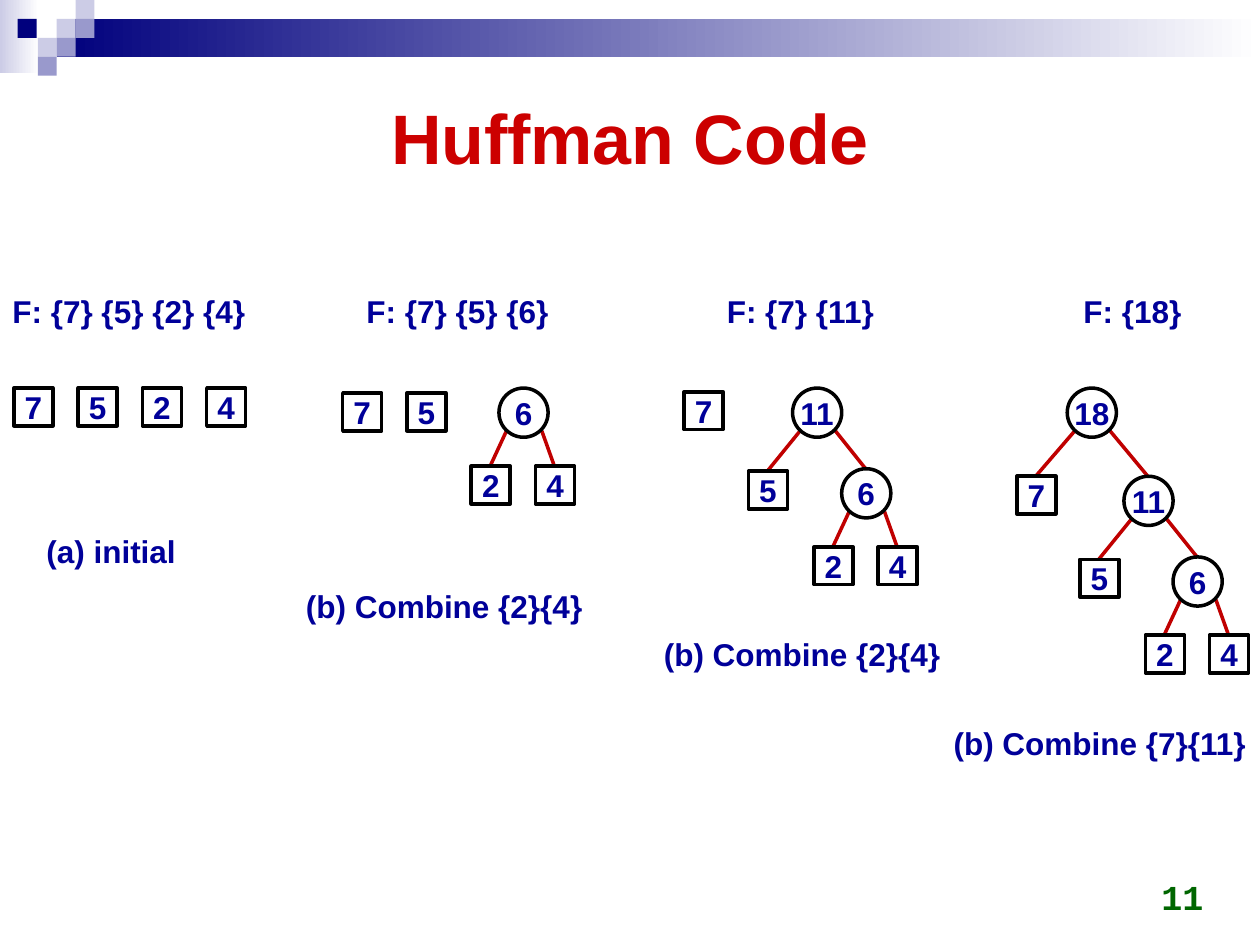
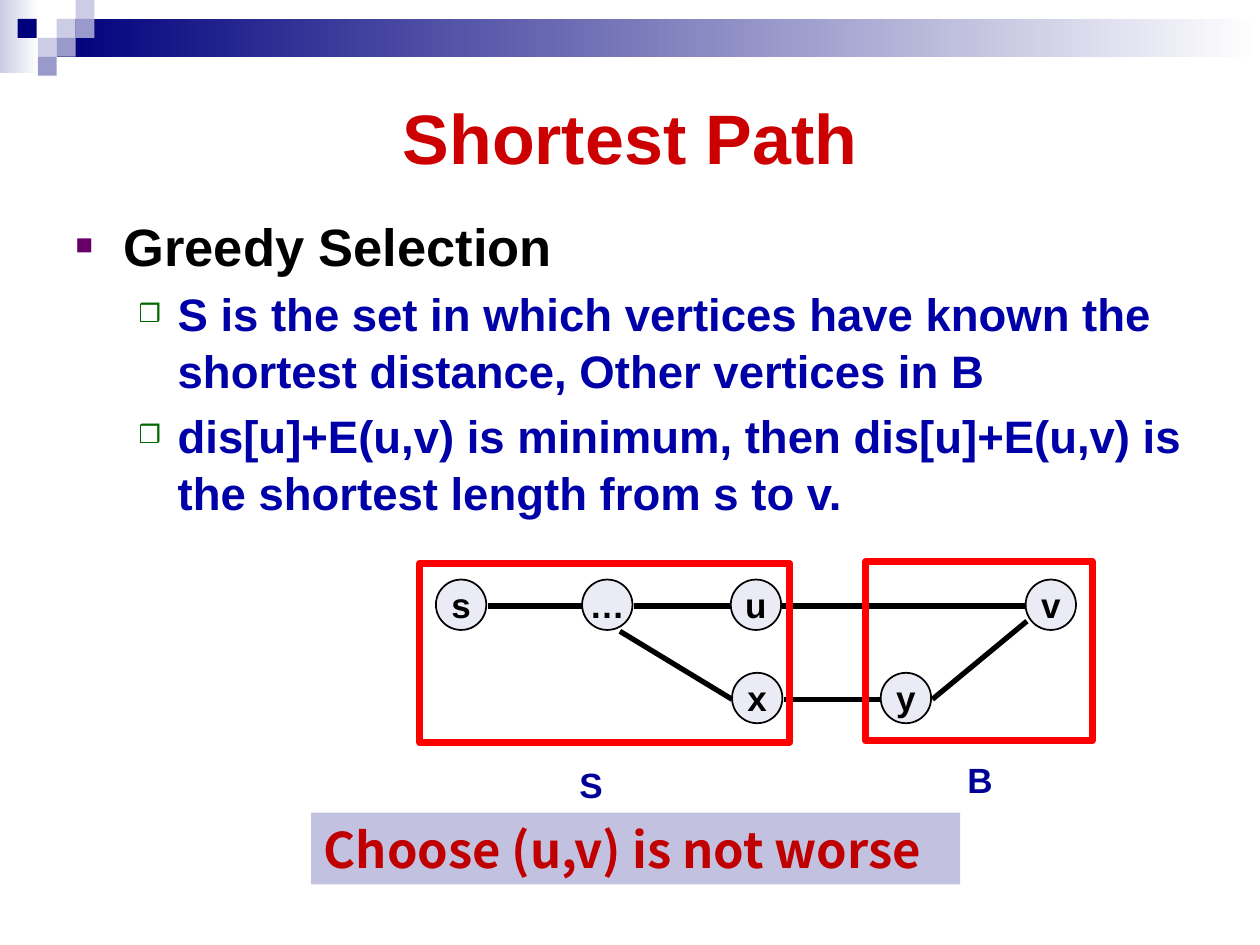
from dataclasses import dataclass

from lxml.etree import SubElement
from pptx import Presentation
from pptx.dml.color import RGBColor
from pptx.enum.shapes import MSO_CONNECTOR as Connector, MSO_SHAPE as Preset
from pptx.enum.text import MSO_ANCHOR as Anchor, MSO_AUTO_SIZE as AutoSize, PP_ALIGN as Align
from pptx.oxml.ns import qn
from pptx.util import Emu, Pt

TITLE_AND_BODY, TITLE_ONLY = 1, 5


@dataclass(frozen=True)
class Theme:
    """Colours, fonts and type sizes of the deck."""

    navy: str = "00007D"
    violet: str = "9999CC"
    lilac: str = "CCCCE6"
    pale: str = "EBEBF5"
    banner: str = "C2C2E0"
    white: str = "FFFFFF"
    black: str = "000000"
    title: str = "CC0000"
    label: str = "000099"
    detail: str = "0000A8"
    crimson: str = "C00000"
    frame: str = "FF0000"
    green: str = "006600"
    plum: str = "660066"
    sans: str = "Arial"
    mono: str = "Courier New"
    cjk: str = "Noto Sans CJK SC"
    title_size: int = 40
    topic_size: int = 30
    banner_size: int = 28
    detail_size: int = 26
    vertex_size: int = 20
    label_size: int = 18


@dataclass(frozen=True)
class Merge:
    """A Huffman tree node with its two children and the steps to them."""

    total: str
    left: object
    right: object
    left_step: tuple
    right_step: tuple


THEME = Theme()
SIX = Merge("6", "2", "4", (-22, 62), (29, 62))
ELEVEN = Merge("11", "5", SIX, (-35, 66), (39, 64))
EIGHTEEN = Merge("18", "7", ELEVEN, (-40, 70), (45, 70))


class Deck:
    """Draws themed elements on the current slide, in px of 1/100 inch."""

    SCALE = 9144
    LEAF = (31, 30)
    LEAF_PITCH = 51
    CIRCLE = 39
    VERTEX = 40

    def __init__(self, theme):
        """Open an empty 10 by 7.5 inch deck."""
        self.theme = theme
        self.deck = Presentation()
        self.deck.slide_width, self.deck.slide_height = self.px(1000, 750)
        self.slide = None

    def px(self, *lengths):
        """Turn px into EMU."""
        return [Emu(length * self.SCALE) for length in lengths]

    def add_text(self, paragraph, text, size, color, font=None):
        """Add one bold run."""
        run = paragraph.add_run()
        run.text = text
        run.font.size, run.font.bold = Pt(size), True
        run.font.name = font or self.theme.sans
        run.font.color.rgb = RGBColor.from_string(color)

    def place(self, holder, *box):
        """Move a placeholder."""
        holder.left, holder.top, holder.width, holder.height = self.px(*box)

    def start(self, title, layout):
        """Begin a slide with the band and a title."""
        self.slide = self.deck.slides.add_slide(self.deck.slide_layouts[layout])
        self.band()
        heading = self.slide.shapes.title
        self.place(heading, 50, 50, 900, 116)
        heading.text_frame.vertical_anchor = Anchor.MIDDLE
        line = heading.text_frame.paragraphs[0]
        line.alignment = Align.CENTER
        self.add_text(line, title, self.theme.title_size, self.theme.title)

    def band(self):
        """Draw the gradient band and its checker squares."""
        t = self.theme
        for start, box in ((t.lilac, (0, 0, 31, 58)), (t.navy, (45, 15, 955, 30))):
            fade = self.shape(Preset.RECTANGLE, box, fill=t.white).fill
            fade.gradient()
            fade.gradient_angle = 0
            for stop, color in zip(fade.gradient_stops, (start, t.white)):
                stop.color.rgb = RGBColor.from_string(color)
        checker = {
            t.lilac: ((45, 15), (60, 0), (30, 30)),
            t.violet: ((60, 15), (45, 30), (30, 45)),
            t.navy: ((14, 15),),
        }
        for color, corners in checker.items():
            for corner in corners:
                self.shape(Preset.RECTANGLE, (*corner, 15, 15), fill=color)

    def shape(self, preset, box, fill=None, line=None, weight=1):
        """Add a preset shape without shadow."""
        shape = self.slide.shapes.add_shape(preset, *self.px(*box))
        shape.shadow.inherit = False
        if fill:
            shape.fill.solid()
            shape.fill.fore_color.rgb = RGBColor.from_string(fill)
        else:
            shape.fill.background()
        if line:
            shape.line.color.rgb = RGBColor.from_string(line)
            shape.line.width = Pt(weight)
        else:
            shape.line.fill.background()
        return shape

    def caption(self, shape, text, size, color, font=None, align=Align.CENTER, wrap=False):
        """Set text in the middle of a shape's height."""
        frame = shape.text_frame
        frame.word_wrap, frame.vertical_anchor = wrap, Anchor.MIDDLE
        frame.margin_top = frame.margin_bottom = 0
        if align == Align.CENTER:
            frame.margin_left = frame.margin_right = 0
        frame.paragraphs[0].alignment = align
        self.add_text(frame.paragraphs[0], text, size, color, font)

    def label(self, text, x, y, width, height=40, size=THEME.label_size):
        """Add a one-line label."""
        frame = self.slide.shapes.add_textbox(*self.px(x, y, width, height)).text_frame
        frame.word_wrap, frame.auto_size = False, AutoSize.SHAPE_TO_FIT_TEXT
        self.add_text(frame.paragraphs[0], text, size, self.theme.label)

    def page_number(self, number):
        """Add the number at the bottom right."""
        frame = self.slide.shapes.add_textbox(*self.px(732, 683, 233, 50)).text_frame
        frame.word_wrap, frame.vertical_anchor = True, Anchor.BOTTOM
        frame.paragraphs[0].alignment = Align.RIGHT
        self.add_text(frame.paragraphs[0], number, self.theme.vertex_size, self.theme.green, self.theme.mono)

    def edge(self, start, end, color, weight):
        """Draw a straight line without shadow."""
        edge = self.slide.shapes.add_connector(Connector.STRAIGHT, *self.px(*start, *end))
        edge.line.color.rgb = RGBColor.from_string(color)
        edge.line.width = Pt(weight)
        SubElement(edge.element.spPr, qn("a:effectLst"))

    def leaves(self, weights, x, y):
        """Draw a row of square leaves."""
        for column, weight in enumerate(weights):
            box = (x + column * self.LEAF_PITCH, y, *self.LEAF)
            leaf = self.shape(Preset.RECTANGLE, box, line=self.theme.black, weight=2)
            self.caption(leaf, weight, self.theme.label_size, self.theme.label)

    def tree(self, node, x, y):
        """Draw a Huffman tree from its root down."""
        if isinstance(node, str):
            self.leaves([node], x, y)
            return
        branches = ((node.left, node.left_step, 6), (node.right, node.right_step, 34))
        for child, (dx, dy), exit_x in branches:
            middle = (self.LEAF[0] if isinstance(child, str) else self.CIRCLE) // 2
            self.edge((x + dx + middle, y + dy), (x + exit_x, y + 34), self.theme.crimson, 2)
            self.tree(child, x + dx, y + dy)
        root = self.shape(Preset.OVAL, (x, y, self.CIRCLE, self.CIRCLE), line=self.theme.black, weight=2)
        self.caption(root, node.total, self.theme.label_size, self.theme.label)

    def vertex(self, name, x, y):
        """Draw a graph vertex."""
        box = (x, y, self.VERTEX, self.VERTEX)
        vertex = self.shape(Preset.OVAL, box, self.theme.pale, self.theme.black)
        self.caption(vertex, name, self.theme.vertex_size, self.theme.black)

    def bullets(self, items):
        """Fill the body placeholder with (level, text) items."""
        t = self.theme
        styles = (
            (38, 38, "■", t.plum, t.topic_size, t.black),
            (81, 31, "❒", t.green, t.detail_size, t.detail),
        )
        body = self.slide.placeholders[1]
        self.place(body, 50, 162, 900, 520)
        frame = body.text_frame
        frame.auto_size = AutoSize.NONE
        for index, (level, text) in enumerate(items):
            margin, hang, mark, mark_color, size, color = styles[level]
            line = frame.add_paragraph() if index else frame.paragraphs[0]
            line.level, line.line_spacing = level, 1.05
            line.space_before = Pt(round(size * 0.15, 1))
            props = line._p.get_or_add_pPr()
            props.set("marL", str(margin * self.SCALE))
            props.set("indent", str(-hang * self.SCALE))
            tint = SubElement(props, qn("a:buClr"))
            SubElement(tint, qn("a:srgbClr"), val=mark_color)
            SubElement(props, qn("a:buSzPct"), val="55000")
            SubElement(props, qn("a:buChar"), char=mark)
            self.add_text(line, text, size, color)


def huffman_slide(deck):
    """Show the forest after each merge."""
    deck.start("Huffman Code", TITLE_ONLY)
    deck.page_number("11")
    forests = (
        ("F: {7} {5} {2} {4}", 0, 207),
        ("F: {7} {5} {6}", 281, 166),
        ("F: {7} {11}", 567, 138),
        ("F: {18}", 850, 99),
    )
    for text, x, width in forests:
        deck.label(text, x, 227, width)
    steps = (
        ("(a) initial", 27, 417, 124),
        ("(b) Combine {2}{4}", 233, 461, 242),
        ("(b) Combine {2}{4}", 517, 499, 242),
        ("(b) Combine {7}{11}", 747, 570, 254),
    )
    for step in steps:
        deck.label(*step)
    for weights, x, y in (("7524", 11, 308), ("75", 272, 312), ("7", 543, 311)):
        deck.leaves(weights, x, y)
    for root, x in ((SIX, 396), (ELEVEN, 629), (EIGHTEEN, 847)):
        deck.tree(root, x, 308)


def shortest_path_slide(deck):
    """Explain the greedy selection on a small graph."""
    theme = deck.theme
    deck.start("Shortest Path", TITLE_AND_BODY)
    deck.bullets((
        (0, "Greedy Selection"),
        (1, "S is the set in which vertices have known the shortest distance, Other vertices in B"),
        (1, "dis[u]+E(u,v) is minimum, then dis[u]+E(u,v) is the shortest length from s to v."),
    ))
    banner = deck.shape(Preset.RECTANGLE, (247, 645, 515, 57), fill=theme.banner)
    deck.caption(banner, "Choose (u,v) is not worse", theme.banner_size, theme.crimson,
                 theme.cjk, Align.LEFT, wrap=True)

    vertices = {"s": (346, 460), "…": (462, 460), "u": (580, 460),
                "v": (814, 460), "x": (581, 534), "y": (699, 534)}
    for name, corner in vertices.items():
        deck.vertex(name, *corner)
    left, right, below, lower_left = (0, 21), (41, 21), (30, 41), (1, 33)
    edges = (("s", right, "…", left), ("…", right, "u", left), ("u", right, "v", left),
             ("x", right, "y", left), ("…", below, "x", left), ("y", right, "v", lower_left))
    for start, exit_at, end, enter_at in edges:
        ends = [[a + b for a, b in zip(vertices[name], port)]
                for name, port in ((start, exit_at), (end, enter_at))]
        deck.edge(*ends, theme.black, 3)

    for box in ((333, 447, 294, 142), (687, 446, 180, 142)):
        deck.shape(Preset.RECTANGLE, box, line=theme.frame, weight=4)
    for name, x, y in (("S", 450, 601), ("B", 758, 597)):
        deck.label(name, x, y, 40, 44, theme.vertex_size)


def main():
    """Build and save the deck."""
    deck = Deck(THEME)
    huffman_slide(deck)
    shortest_path_slide(deck)
    deck.deck.save("out.pptx")


if __name__ == "__main__":
    main()
